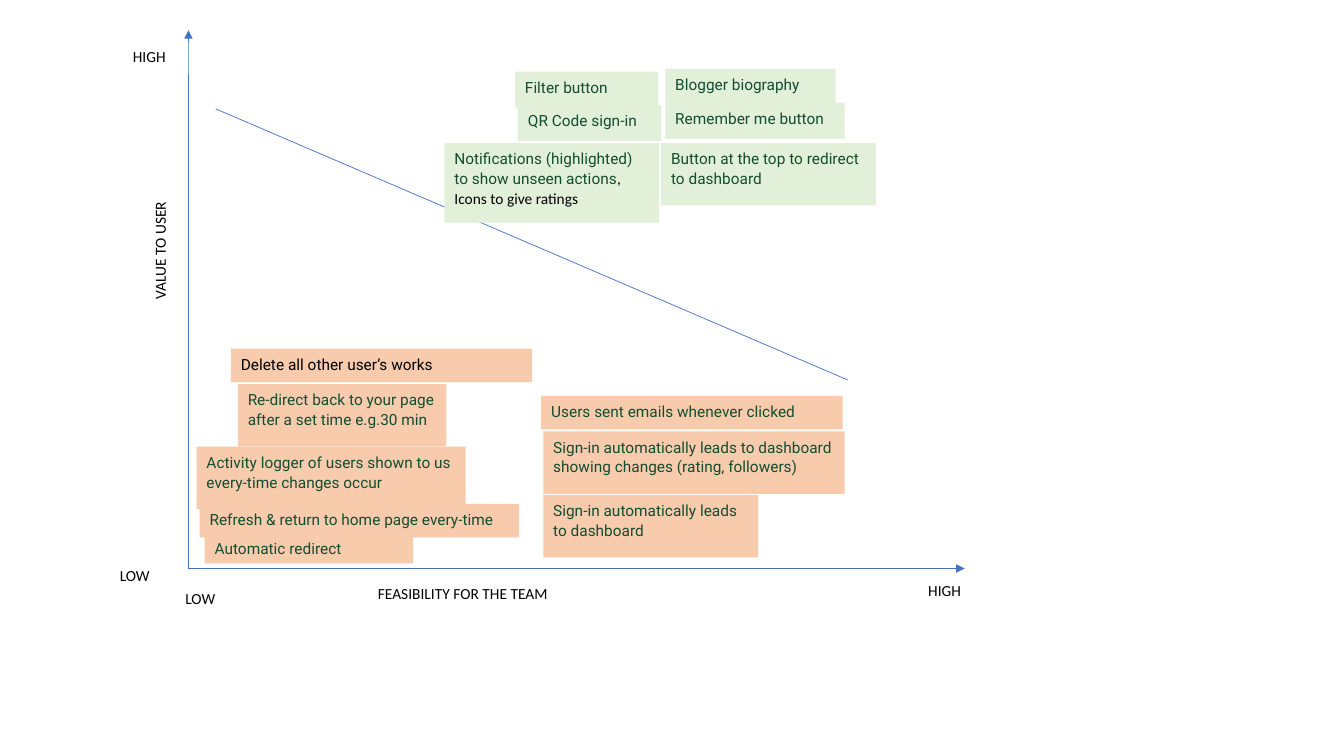
import pptx
import pptx.util
import pptx.dml.color
import pptx.enum.shapes
import pptx.enum.text
import pptx.oxml
import pptx.oxml.ns
import lxml.etree

Pt = pptx.util.Pt
INK, DARK = "000000", "134D30"
WHITE, GREEN, PEACH = "FFFFFF", "E2F0D9", "F8CBAD"


def color(code):
    return pptx.dml.color.RGBColor.from_string(code)


class Board:
    """Holds the slide and the shared style."""
    size = 11
    blue = "4472C4"

    def __init__(self, slide):
        self.slide = slide

    def line(self, x1, y1, x2, y2, arrow=False):
        kind = pptx.enum.shapes.MSO_CONNECTOR.STRAIGHT
        link = self.slide.shapes.add_connector(kind, Pt(x1), Pt(y1), Pt(x2), Pt(y2))
        link.line.color.rgb = color(self.blue)
        link.line.width = Pt(0.5)
        if arrow:
            tip = lxml.etree.SubElement(link.line._get_or_add_ln(), pptx.oxml.ns.qn("a:tailEnd"))
            tip.set("type", "triangle")
        lxml.etree.SubElement(link._element.spPr, pptx.oxml.ns.qn("a:effectLst"))

    def box(self, x, y, wide, high, fill, runs, turn=0):
        kind = pptx.enum.shapes.MSO_SHAPE.RECTANGLE
        card = self.slide.shapes.add_shape(kind, Pt(x), Pt(y), Pt(wide), Pt(high))
        card.shadow.inherit = False
        card.fill.solid()
        card.fill.fore_color.rgb = color(fill)
        card.line.fill.background()
        card.rotation = turn
        frame = card.text_frame
        frame.word_wrap = True
        frame.vertical_anchor = pptx.enum.text.MSO_ANCHOR.TOP
        para = frame.paragraphs[0]
        para.alignment = pptx.enum.text.PP_ALIGN.LEFT
        para.line_spacing = 1.07
        para.space_after = Pt(8)
        for text, face, tone in runs:
            run = para.add_run()
            run.text = text
            run.font.name = face
            run.font.size = Pt(self.size)
            run.font.color.rgb = color(tone)

    def label(self, text, x, y, wide=46.8, high=23.8, turn=0):
        self.box(x, y, wide, high, WHITE, [(text, "Calibri", INK)], turn)

    def note(self, text, x, y, wide, high, fill, tone=DARK, more=""):
        runs = [(text, "Roboto", tone)]
        if more:
            runs.append((more, "Calibri", INK))
        self.box(x, y, wide, high, fill, runs)


def main():
    deck = pptx.Presentation()
    deck.slide_width, deck.slide_height = Pt(960), Pt(540)
    board = Board(deck.slides.add_slide(deck.slide_layouts[6]))

    # Dividing line and axes
    board.line(154.1, 77.8, 605.5, 271.4)
    board.line(134.6, 406.1, 134.6, 21.6, arrow=True)
    board.line(134.6, 406.1, 689, 406.1, arrow=True)

    # Axis titles and ends
    board.label("VALUE TO USER", 63.4, 153.4, 107.3, 28.1, turn=270)
    board.label("FEASIBILITY FOR THE TEAM", 262.8, 412.6, 164.2, 28.1)
    for text, x, y in [("LOW", 78.5, 399.6), ("LOW", 125.3, 416.2),
                       ("HIGH", 655.9, 410.4), ("HIGH", 87.8, 29.5)]:
        board.label(text, x, y)

    # Ideas worth building: high value, feasible
    for text, x, y, wide, high in [
        ("QR Code sign-in", 370, 74.9, 102.2, 25.9),
        ("Remember me button", 475.2, 73.4, 128.2, 25.9),
        ("Button at the top to redirect to dashboard", 472.3, 102.2, 153.4, 44.6),
        ("Filter button", 367.9, 51.1, 102.2, 25.9),
        ("Blogger biography", 475.2, 49, 121.7, 25.9),
    ]:
        board.note(text, x, y, wide, high, GREEN)
    board.note("Notifications (highlighted) to show unseen actions", 317.5, 102.2,
               153.4, 56.9, GREEN, more=", Icons to give ratings")

    # Ideas below the line
    board.note("Delete all other user’s works", 164.9, 249.1, 215.3, 23.8, PEACH, INK)
    for text, x, y, wide, high in [
        ("Sign-in automatically leads to dashboard", 388.1, 353.5, 153.4, 44.6),
        ("Sign-in automatically leads to dashboard showing changes (rating, followers)",
         388.1, 308.2, 215.3, 44.6),
        ("Activity logger of users shown to us every-time changes occur",
         140.4, 319, 192.2, 44.6),
        ("Re-direct back to your page after a set time e.g.30 min",
         169.9, 274.3, 149, 44.6),
        ("Refresh & return to home page every-time", 142.6, 360, 228.2, 23.8),
        ("Automatic redirect", 146.2, 380.9, 149, 21.6),
        ("Users sent emails whenever clicked", 386.6, 283, 215.3, 23.8),
    ]:
        board.note(text, x, y, wide, high, PEACH)

    deck.save("out.pptx")


if __name__ == "__main__":
    main()
